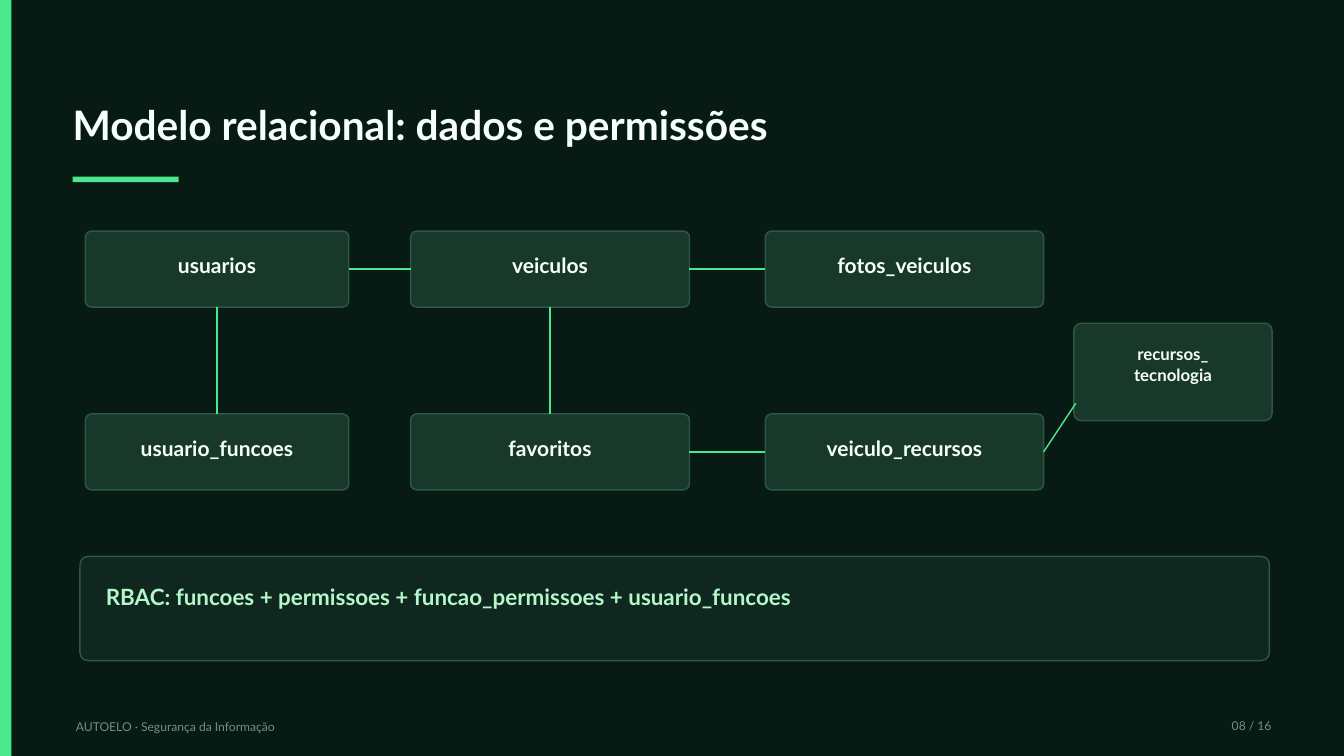
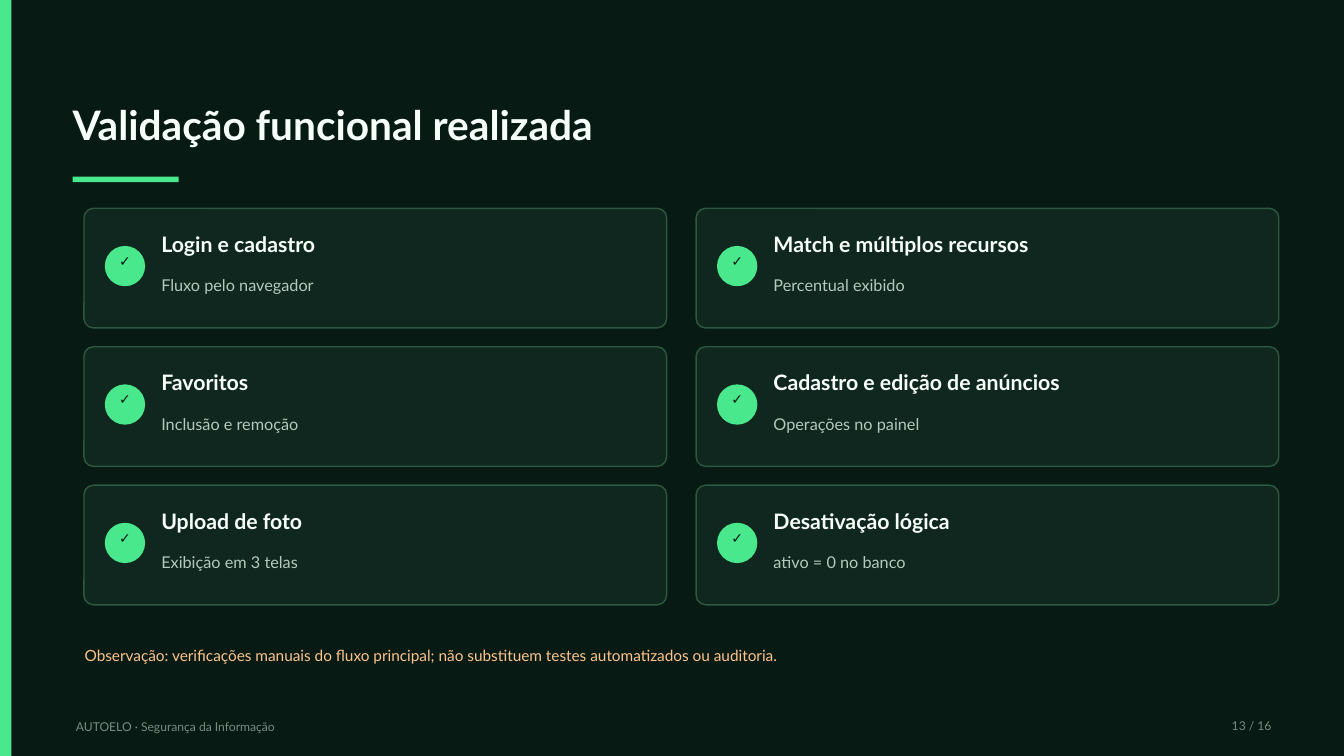
from dataclasses import dataclass
from pptx import Presentation
from pptx.dml.color import RGBColor as RGB
from pptx.enum.shapes import MSO_CONNECTOR as Link, MSO_SHAPE as Kind
from pptx.enum.text import MSO_ANCHOR as Anchor, PP_ALIGN as Align
from pptx.oxml.ns import qn
from pptx.util import Inches, Pt
from lxml.etree import SubElement

# Content

BRAND = "AUTOELO · Segurança da Informação"
TOTAL = 16

MODEL = "Modelo relacional: dados e permissões"
TABLES = [
    ["usuarios", "veiculos", "fotos_veiculos"],
    ["usuario_funcoes", "favoritos", "veiculo_recursos"],
]
TECH = ["recursos_", "tecnologia"]
TOP, LEFT, BOTTOM, RIGHT = range(4)
LINKS = [
    ("usuarios", RIGHT, "veiculos", LEFT),
    ("veiculos", RIGHT, "fotos_veiculos", LEFT),
    ("usuarios", BOTTOM, "usuario_funcoes", TOP),
    ("veiculos", BOTTOM, "favoritos", TOP),
    ("favoritos", RIGHT, "veiculo_recursos", LEFT),
]
RBAC = "RBAC: funcoes + permissoes + funcao_permissoes + usuario_funcoes"

CHECKS = "Validação funcional realizada"
TESTS = [
    ("Login e cadastro", "Fluxo pelo navegador"),
    ("Match e múltiplos recursos", "Percentual exibido"),
    ("Favoritos", "Inclusão e remoção"),
    ("Cadastro e edição de anúncios", "Operações no painel"),
    ("Upload de foto", "Exibição em 3 telas"),
    ("Desativação lógica", "ativo = 0 no banco"),
]
NOTE = ("Observação: verificações manuais do fluxo principal; "
        "não substituem testes automatizados ou auditoria.")


# Theme

@dataclass(frozen=True)
class Style:
    size: float
    color: str
    bold: bool = False
    font: str = "Lato"


@dataclass(frozen=True)
class Theme:
    back: str = "071A14"
    green: str = "4AE88C"
    node: str = "17382B"
    panel: str = "10271F"
    edge: str = "2E5842"
    line: float = 1.5
    title: Style = Style(43.5, "F6FFF9", True)
    foot: Style = Style(13, "758E80")
    table: Style = Style(22.5, "F6FFF9", True)
    small: Style = Style(18, "F6FFF9", True)
    rbac: Style = Style(24, "B4F7C9", True)
    head: Style = Style(22.8, "F6FFF9", True)
    sub: Style = Style(17.4, "B3C9BD")
    tick: Style = Style(15, "071A14", True, "Calibri")
    note: Style = Style(16.5, "FFC48B")


THEME = Theme()


# Parts

def write(shape, lines, align=Align.LEFT, inset=(0, 0), gap=0):
    """Fill a shape with (text, style) lines; inset is left and top."""
    frame = shape.text_frame
    frame.word_wrap = True
    frame.vertical_anchor = Anchor.TOP
    frame.margin_left, frame.margin_top = map(Inches, inset)
    frame.margin_right = frame.margin_bottom = 0
    for i, (text, style) in enumerate(lines):
        par = frame.add_paragraph() if i else frame.paragraphs[0]
        par.alignment = align
        par.line_spacing = Pt(style.size * 1.2)
        par.space_before = Pt(gap if i else 0)
        run = par.add_run()
        run.text = text
        font = run.font
        font.name, font.size, font.bold = style.font, Pt(style.size), style.bold
        font.color.rgb = RGB.from_string(style.color)


def label(slide, box, text, style, align=Align.LEFT):
    write(slide.shapes.add_textbox(*map(Inches, box)), [(text, style)], align)


def solid(slide, kind, box, fill):
    shape = slide.shapes.add_shape(kind, *map(Inches, box))
    shape.shadow.inherit = False
    shape.fill.solid()
    shape.fill.fore_color.rgb = RGB.from_string(fill)
    shape.line.fill.background()
    return shape


def card(slide, box, fill, radius):
    shape = solid(slide, Kind.ROUNDED_RECTANGLE, box, fill)
    shape.adjustments[0] = radius / min(box[2:])
    shape.line.color.rgb = RGB.from_string(THEME.edge)
    shape.line.width = Pt(THEME.line)
    return shape


def wire(slide, start=(0, 0), end=(0, 0)):
    line = slide.shapes.add_connector(Link.STRAIGHT, *map(Inches, start + end))
    line.line.color.rgb = RGB.from_string(THEME.green)
    line.line.width = Pt(THEME.line)
    SubElement(line._element.spPr, qn("a:effectLst"))
    return line


def start(deck, title, page):
    """Add a slide with the shared band, title, rule and footer."""
    slide = deck.slides.add_slide(deck.slide_layouts[5])
    solid(slide, Kind.RECTANGLE, (0, 0, 0.17, 11.25), THEME.green)
    head = slide.shapes.title
    head.left, head.top, head.width, head.height = map(
        Inches, (1.08, 1.49, 17.86, 1.03))
    write(head, [(title, THEME.title)])
    solid(slide, Kind.RECTANGLE, (1.08, 2.63, 1.58, 0.08), THEME.green)
    label(slide, (1.13, 10.71, 6, 0.31), BRAND, THEME.foot)
    label(slide, (17.64, 10.69, 1.28, 0.31), f"{page:02} / {TOTAL}",
          THEME.foot, Align.RIGHT)
    return slide


# Slides

def model(deck):
    slide = start(deck, MODEL, 8)
    cols = [(1.27, 3.92), (6.11, 4.15), (11.39, 4.14)]
    nodes = {}
    for row, names in enumerate(TABLES):
        for (x, w), name in zip(cols, names):
            node = card(slide, (x, 3.44 + row * 2.72, w, 1.13), THEME.node, 0.09)
            write(node, [(name, THEME.table)], Align.CENTER, (0, 0.29))
            nodes[name] = node
    tech = card(slide, (15.98, 4.81, 2.95, 1.45), THEME.node, 0.11)
    write(tech, [(part, THEME.small) for part in TECH], Align.CENTER, (0, 0.28))

    for src, out, dest, into in LINKS:
        line = wire(slide)
        line.begin_connect(nodes[src], out)
        line.end_connect(nodes[dest], into)
    last = wire(slide, (15.53, 6.72), (16.01, 6))
    last.begin_connect(nodes["veiculo_recursos"], RIGHT)

    panel = card(slide, (1.19, 8.28, 17.7, 1.55), THEME.panel, 0.12)
    write(panel, [(RBAC, THEME.rbac)], inset=(0.35, 0.36))


def checks(deck):
    slide = start(deck, CHECKS, 13)
    for i, (head, sub) in enumerate(TESTS):
        row, col = divmod(i, 2)
        x, y = 1.25 + col * 9.11, 3.1 + row * 2.06
        box = card(slide, (x, y, 8.67, 1.78), THEME.panel, 0.14)
        write(box, [(head, THEME.head), (sub, THEME.sub)],
              inset=(1.11, 0.3), gap=20)
        dot = solid(slide, Kind.OVAL, (x + 0.31, y + 0.56, 0.6, 0.6), THEME.green)
        write(dot, [("✓", THEME.tick)], Align.CENTER, (0, 0.01))
    label(slide, (1.26, 9.62, 17.56, 0.54), NOTE, THEME.note)


def main():
    deck = Presentation()
    deck.slide_width, deck.slide_height = Inches(20), Inches(11.25)
    back = deck.slide_master.background.fill
    back.solid()
    back.fore_color.rgb = RGB.from_string(THEME.back)
    model(deck)
    checks(deck)
    deck.save("out.pptx")


if __name__ == "__main__":
    main()
